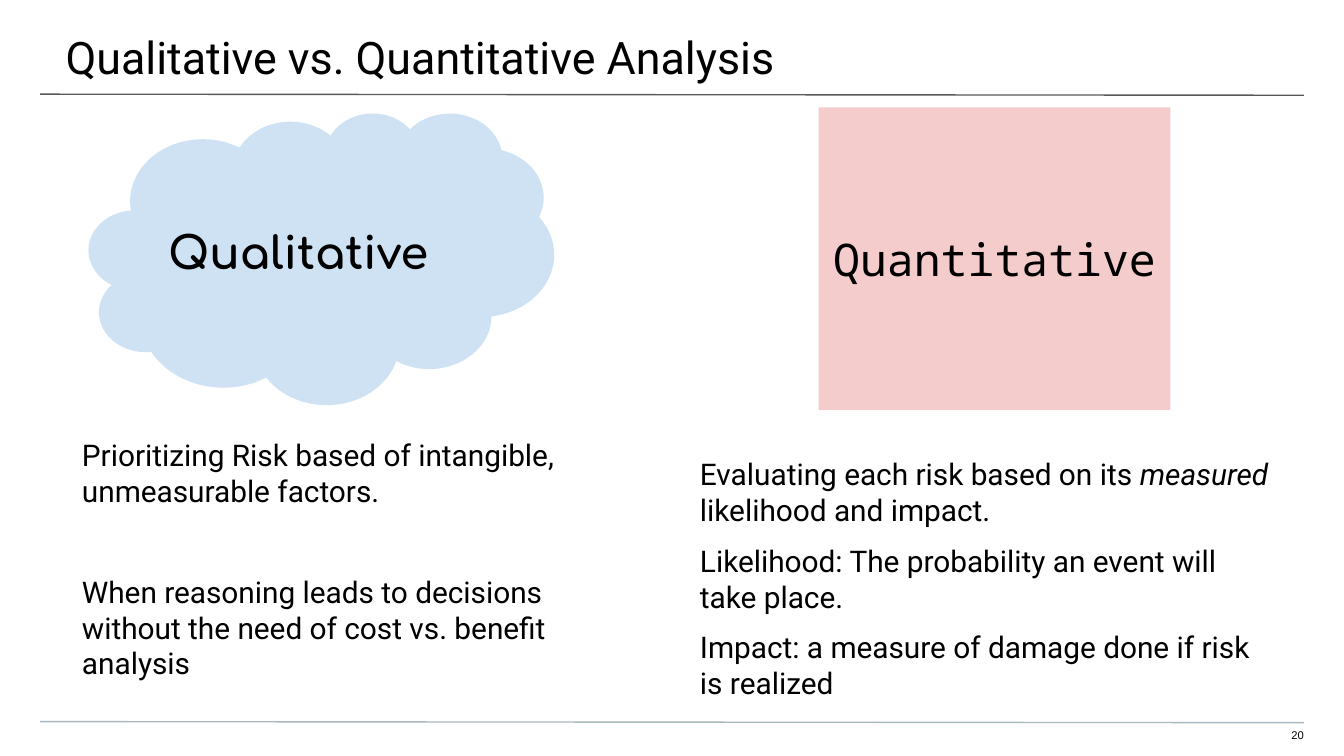
import pptx
import pptx.dml.color
import pptx.enum.shapes
import pptx.enum.text
import pptx.util
import lxml.etree

Cm = pptx.util.Cm
Pt = pptx.util.Pt
ALIGN = pptx.enum.text.PP_ALIGN
ANCHOR = pptx.enum.text.MSO_ANCHOR
SHAPE = pptx.enum.shapes.MSO_SHAPE


def color(value):
    return pptx.dml.color.RGBColor.from_string(value)


def set_insets(frame, left, top, right, bottom):
    frame.margin_left, frame.margin_top = Cm(left), Cm(top)
    frame.margin_right, frame.margin_bottom = Cm(right), Cm(bottom)


def style_run(run, font, size, bold=False, italic=False):
    run.font.name = font
    run.font.size = Pt(size)
    run.font.bold = bold
    run.font.italic = italic
    run.font.color.rgb = color("000000")


def add_rule(page, top, line_color):
    rule = page.shapes.add_connector(
        pptx.enum.shapes.MSO_CONNECTOR.STRAIGHT,
        Cm(0.76), Cm(top), Cm(24.64), Cm(top + 0.02))
    rule.line.color.rgb = color(line_color)
    rule.line.width = Pt(0.75)
    lxml.etree.SubElement(rule.element.spPr, pptx.oxml.ns.qn("a:effectLst"))


def add_text(page, place, insets, paragraphs, size, font="Roboto",
             align=ALIGN.LEFT, gap=0):
    box = page.shapes.add_textbox(*map(Cm, place))
    frame = box.text_frame
    frame.word_wrap = True
    frame.vertical_anchor = ANCHOR.TOP
    set_insets(frame, *insets)
    for index, spans in enumerate(paragraphs):
        para = frame.paragraphs[0] if index == 0 else frame.add_paragraph()
        para.alignment = align
        if index:
            para.space_before = Pt(gap)
        for text, italic in spans:
            span = para.add_run()
            span.text = text
            style_run(span, font, size, italic=italic)


def add_label_shape(page, kind, place, fill, text, font, bold=False):
    shape = page.shapes.add_shape(kind, *map(Cm, place))
    shape.shadow.inherit = False
    shape.fill.solid()
    shape.fill.fore_color.rgb = color(fill)
    shape.line.fill.background()
    frame = shape.text_frame
    frame.word_wrap = True
    frame.vertical_anchor = ANCHOR.MIDDLE
    set_insets(frame, 0.25, 0.25, 0.25, 0.25)
    frame.text = text
    para = frame.paragraphs[0]
    para.alignment = ALIGN.CENTER
    style_run(para.runs[0], font, 24, bold)


def main():
    deck = pptx.Presentation()
    deck.slide_width, deck.slide_height = Cm(25.4), Cm(14.29)
    page = deck.slides.add_slide(deck.slide_layouts[6])

    add_rule(page, 1.78, "595959")
    add_rule(page, 13.64, "A9B7C0")
    add_text(page, (-0.03, 0, 25.48, 1.47), (1.27, 0.57, 0.76, 0),
             [[("Qualitative vs. Quantitative Analysis", False)]], 24)
    add_text(page, (23.9, 13.77, 0.74, 0.3), (0, 0, 0, 0),
             [[("20", False)]], 6, "Arial", ALIGN.RIGHT)

    add_label_shape(page, SHAPE.CLOUD, (1.68, 2.13, 8.79, 5.51), "CFE2F3",
                    "Qualitative ", "Comfortaa", bold=True)
    add_label_shape(page, SHAPE.RECTANGLE, (15.47, 2.03, 6.65, 5.72), "F4CCCC",
                    "Quantitative", "Noto Sans Mono")

    add_text(page, (0.28, 8.05, 12.04, 5.51), (1.27, 0.2, 1.27, 0), [
        [("Prioritizing Risk based of intangible, unmeasurable factors.", False)],
        [("When reasoning leads to decisions without the need of cost vs. "
          "benefit analysis", False)],
    ], 16, gap=35)
    add_text(page, (11.96, 7.72, 13.49, 5.92), (1.27, 0.9, 1.27, 0), [
        [("Evaluating each risk based on its ", False), ("measured ", True),
         ("likelihood and impact.", False)],
        [("Likelihood: The probability an event will take place.", False)],
        [("Impact: a measure of damage done if risk is realized", False)],
    ], 16, gap=8)

    deck.save("out.pptx")


if __name__ == "__main__":
    main()
